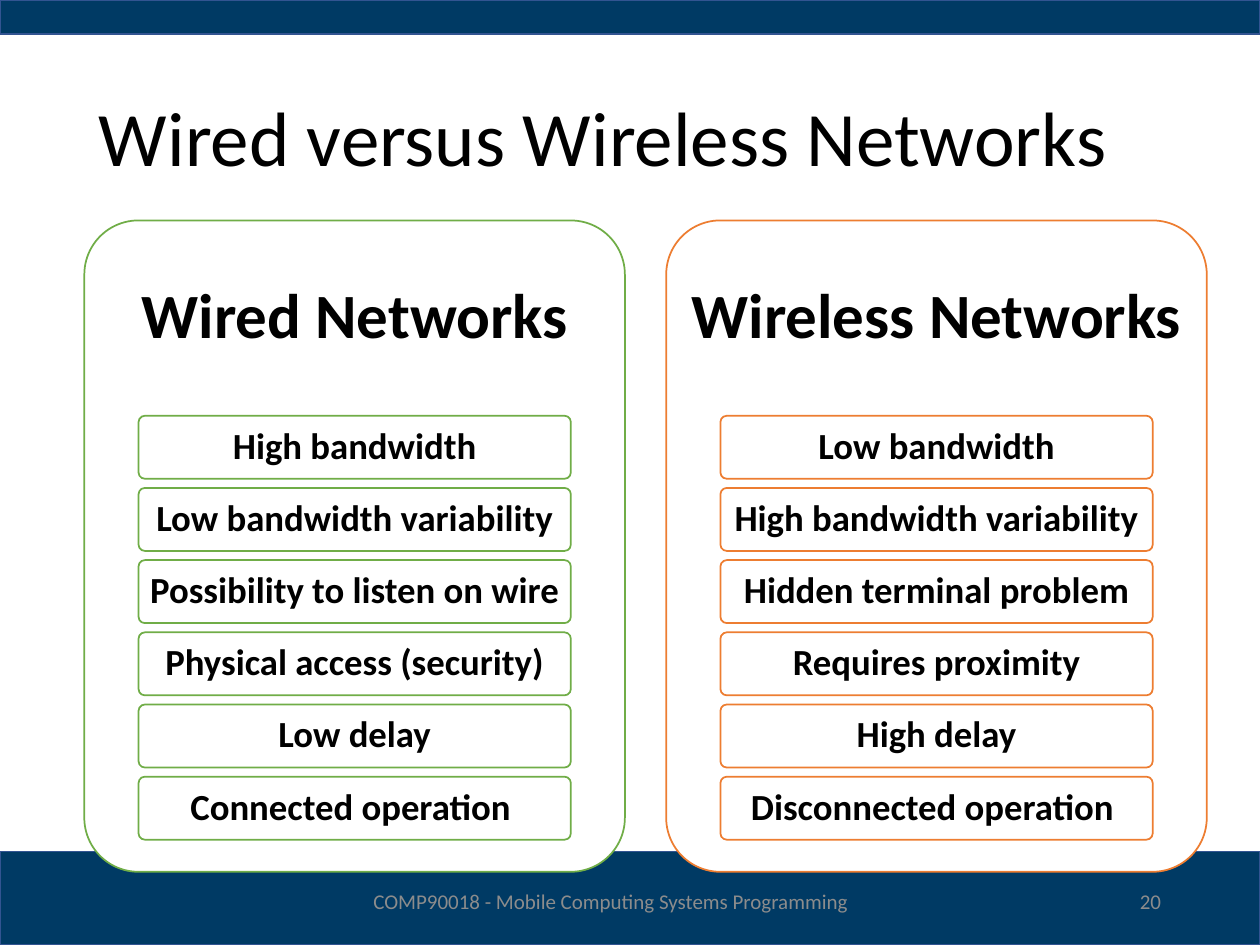
"""Build the slide comparing wired and wireless networks."""
from dataclasses import dataclass

from pptx import Presentation
from pptx.dml.color import RGBColor
from pptx.enum.shapes import MSO_SHAPE
from pptx.enum.text import MSO_ANCHOR, PP_ALIGN
from pptx.shapes.autoshape import Shape
from pptx.slide import Slide
from pptx.util import Pt

FONT = "Calibri"
NAVY, NAVY_EDGE = "003A64", "325491"
WHITE, BLACK, GREY = "FFFFFF", "000000", "8C8C8C"
CARD_TOP, CARD_W, CARD_H = 126, 308.9, 372.2
HEAD_H = 111.6
ITEM_INDENT, ITEM_W, ITEM_H, ITEM_PITCH = 31, 247, 36, 41.25


@dataclass(frozen=True)
class Box:
    """A rectangle in points."""

    left: float
    top: float
    width: float
    height: float

    def lengths(self) -> list[Pt]:
        """Return the four lengths for a python-pptx call."""
        return [Pt(v) for v in (self.left, self.top, self.width, self.height)]


@dataclass(frozen=True)
class Style:
    """The look of one line of text."""

    size: float
    color: str = BLACK
    bold: bool = False
    align: PP_ALIGN = PP_ALIGN.CENTER
    spacing: float = 1.0
    inset_x: float = 7.2
    inset_y: float = 3.6


@dataclass(frozen=True)
class Card:
    """One column of the comparison."""

    left: float
    color: str
    heading: str
    items: tuple[str, ...]


TITLE = Style(44, align=PP_ALIGN.LEFT, spacing=0.9)
HEADING = Style(36, bold=True, spacing=0.9, inset_x=10.8, inset_y=10.8)
ITEM = Style(21, bold=True, spacing=0.9, inset_x=4, inset_y=3)
FOOTER = Style(12, GREY)
NUMBER = Style(12, GREY, align=PP_ALIGN.RIGHT)

CARDS = (
    Card(48.2, "70AD47", "Wired Networks", (
        "High bandwidth", "Low bandwidth variability",
        "Possibility to listen on wire", "Physical access (security)",
        "Low delay", "Connected operation ")),
    Card(380.7, "ED7D31", "Wireless Networks", (
        "Low bandwidth", "High bandwidth variability",
        "Hidden terminal problem", "Requires proximity",
        "High delay", "Disconnected operation ")),
)


def rgb(color: str) -> RGBColor:
    """Turn a hex string into a colour."""
    return RGBColor.from_string(color)


def add_panel(s: Slide, kind: MSO_SHAPE, box: Box, fill: str, line: str) -> Shape:
    """Add a filled, outlined shape without a shadow."""
    sp = s.shapes.add_shape(kind, *box.lengths())
    sp.shadow.inherit = False
    sp.fill.solid()
    sp.fill.fore_color.rgb = rgb(fill)
    sp.line.color.rgb = rgb(line)
    sp.line.width = Pt(1)
    if kind == MSO_SHAPE.ROUNDED_RECTANGLE:
        sp.adjustments[0] = 0.1
    return sp


def write(sp: Shape, text: str, style: Style) -> None:
    """Write one styled line into a shape."""
    tf = sp.text_frame
    tf.word_wrap = True
    tf.vertical_anchor = MSO_ANCHOR.MIDDLE
    tf.margin_left = tf.margin_right = Pt(style.inset_x)
    tf.margin_top = tf.margin_bottom = Pt(style.inset_y)
    p = tf.paragraphs[0]
    p.alignment = style.align
    p.line_spacing = style.spacing
    r = p.add_run()
    r.text = text
    r.font.name = FONT
    r.font.size = Pt(style.size)
    r.font.bold = style.bold
    r.font.color.rgb = rgb(style.color)


def add_text(s: Slide, box: Box, text: str, style: Style) -> None:
    """Add a text box with one styled line."""
    write(s.shapes.add_textbox(*box.lengths()), text, style)


def add_card(s: Slide, card: Card) -> None:
    """Add a column with its heading and its boxed items."""
    rounded = MSO_SHAPE.ROUNDED_RECTANGLE
    add_panel(s, rounded, Box(card.left, CARD_TOP, CARD_W, CARD_H), WHITE, card.color)
    add_text(s, Box(card.left, CARD_TOP, CARD_W, HEAD_H), card.heading, HEADING)
    for i, item in enumerate(card.items):
        top = CARD_TOP + HEAD_H + i * ITEM_PITCH
        box = Box(card.left + ITEM_INDENT, top, ITEM_W, ITEM_H)
        write(add_panel(s, rounded, box, WHITE, card.color), item, ITEM)


def main() -> None:
    """Build and save the slide."""
    prs = Presentation()
    prs.slide_width, prs.slide_height = Pt(720), Pt(540)
    s = prs.slides.add_slide(prs.slide_layouts[6])
    for band in (Box(0, 486.5, 720, 53.5), Box(0, 0, 720, 19.5)):
        add_panel(s, MSO_SHAPE.RECTANGLE, band, NAVY, NAVY_EDGE)
    add_text(s, Box(49.5, 28.75, 621, 104.4), "Wired versus Wireless Networks", TITLE)
    for card in CARDS:
        add_card(s, card)
    add_text(s, Box(189, 500.5, 320, 28.75),
             "COMP90018 - Mobile Computing Systems Programming", FOOTER)
    add_text(s, Box(508.5, 500.5, 162, 28.75), "20", NUMBER)
    prs.save("out.pptx")


if __name__ == "__main__":
    main()
